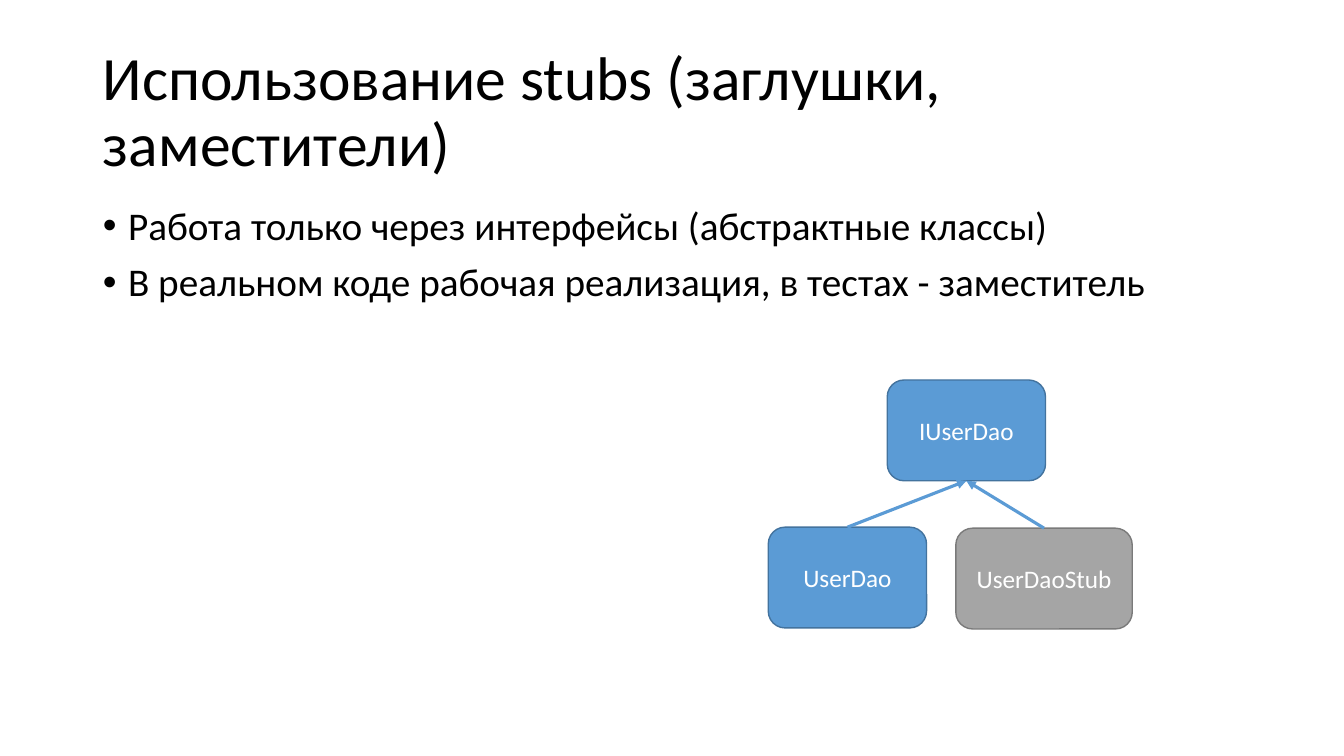
from lxml import etree
from pptx import Presentation
from pptx import util as u
from pptx.dml.color import RGBColor
from pptx.enum import shapes, text
from pptx.oxml.ns import qn

BLACK = RGBColor(0x00, 0x00, 0x00)
WHITE = RGBColor(0xFF, 0xFF, 0xFF)
BLUE = RGBColor(0x5B, 0x9B, 0xD5)
DARK_BLUE = RGBColor(0x43, 0x73, 0x9E)
GRAY = RGBColor(0xA5, 0xA5, 0xA5)
DARK_GRAY = RGBColor(0x7A, 0x7A, 0x7A)
FONT = "Calibri"

WIDTH, HEIGHT = 13.33, 7.5
MARGIN = 0.92
CONTENT_WIDTH = 11.5
BOX_HEIGHT = 1

TITLE = "Использование stubs (заглушки, заместители)"
BULLETS = [
    "Работа только через интерфейсы (абстрактные классы)",
    "В реальном коде рабочая реализация, в тестах - заместитель",
]
INTERFACE = ("IUserDao", 8.8, 3.77, 1.57, BLUE, DARK_BLUE)
IMPLEMENTATIONS = [
    ("UserDao", 7.62, 5.23, 1.57, BLUE, DARK_BLUE),
    ("UserDaoStub", 9.48, 5.24, 1.75, GRAY, DARK_GRAY),
]


def add_run(paragraph, words, size, color):
    run = paragraph.add_run()
    run.text = words
    run.font.name = FONT
    run.font.size = u.Pt(size)
    run.font.color.rgb = color


def place(placeholder, top, height, anchor):
    placeholder.left, placeholder.top = u.Inches(MARGIN), u.Inches(top)
    placeholder.width, placeholder.height = u.Inches(CONTENT_WIDTH), u.Inches(height)
    frame = placeholder.text_frame
    frame.word_wrap = True
    frame.auto_size = text.MSO_AUTO_SIZE.NONE
    frame.vertical_anchor = anchor
    return frame


def add_title(slide):
    frame = place(slide.shapes.title, 0.4, 1.45, text.MSO_ANCHOR.MIDDLE)
    paragraph = frame.paragraphs[0]
    paragraph.alignment = text.PP_ALIGN.LEFT
    paragraph.line_spacing = 0.9
    add_run(paragraph, TITLE, 44, BLACK)


def add_bullets(slide):
    frame = place(slide.placeholders[1], 2, 4.76, text.MSO_ANCHOR.TOP)
    for index, words in enumerate(BULLETS):
        paragraph = frame.add_paragraph() if index else frame.paragraphs[0]
        paragraph.line_spacing = 0.9
        paragraph.space_before = u.Pt(10)
        properties = paragraph._p.get_or_add_pPr()
        properties.set("marL", str(u.Inches(0.25)))
        properties.set("indent", str(-u.Inches(0.25)))
        etree.SubElement(properties, qn("a:buFont"), typeface="Arial")
        etree.SubElement(properties, qn("a:buChar"), char="•")
        add_run(paragraph, words, 28, BLACK)


def add_class_box(slide, name, left, top, width, fill, outline):
    box = slide.shapes.add_shape(
        shapes.MSO_SHAPE.ROUNDED_RECTANGLE,
        u.Inches(left), u.Inches(top), u.Inches(width), u.Inches(BOX_HEIGHT))
    box.shadow.inherit = False
    box.fill.solid()
    box.fill.fore_color.rgb = fill
    box.line.color.rgb = outline
    box.line.width = u.Pt(1)
    box.text_frame.word_wrap = True
    box.text_frame.vertical_anchor = text.MSO_ANCHOR.MIDDLE
    paragraph = box.text_frame.paragraphs[0]
    paragraph.alignment = text.PP_ALIGN.CENTER
    add_run(paragraph, name, 18, WHITE)
    return box


def add_arrow(slide, child, parent):
    arrow = slide.shapes.add_connector(shapes.MSO_CONNECTOR.STRAIGHT, 0, 0, 0, 0)
    arrow.begin_connect(child, 0)
    arrow.end_connect(parent, 2)
    arrow.line.color.rgb = BLUE
    arrow.line.width = u.Pt(2.25)
    etree.SubElement(arrow.line._get_or_add_ln(), qn("a:tailEnd"), type="triangle")
    etree.SubElement(arrow._element.spPr, qn("a:effectLst"))


def main():
    presentation = Presentation()
    presentation.slide_width = u.Inches(WIDTH)
    presentation.slide_height = u.Inches(HEIGHT)
    slide = presentation.slides.add_slide(presentation.slide_layouts[1])
    add_title(slide)
    add_bullets(slide)
    parent = add_class_box(slide, *INTERFACE)
    children = [add_class_box(slide, *item) for item in IMPLEMENTATIONS]
    for child in children:
        add_arrow(slide, child, parent)
    presentation.save("out.pptx")


if __name__ == "__main__":
    main()
